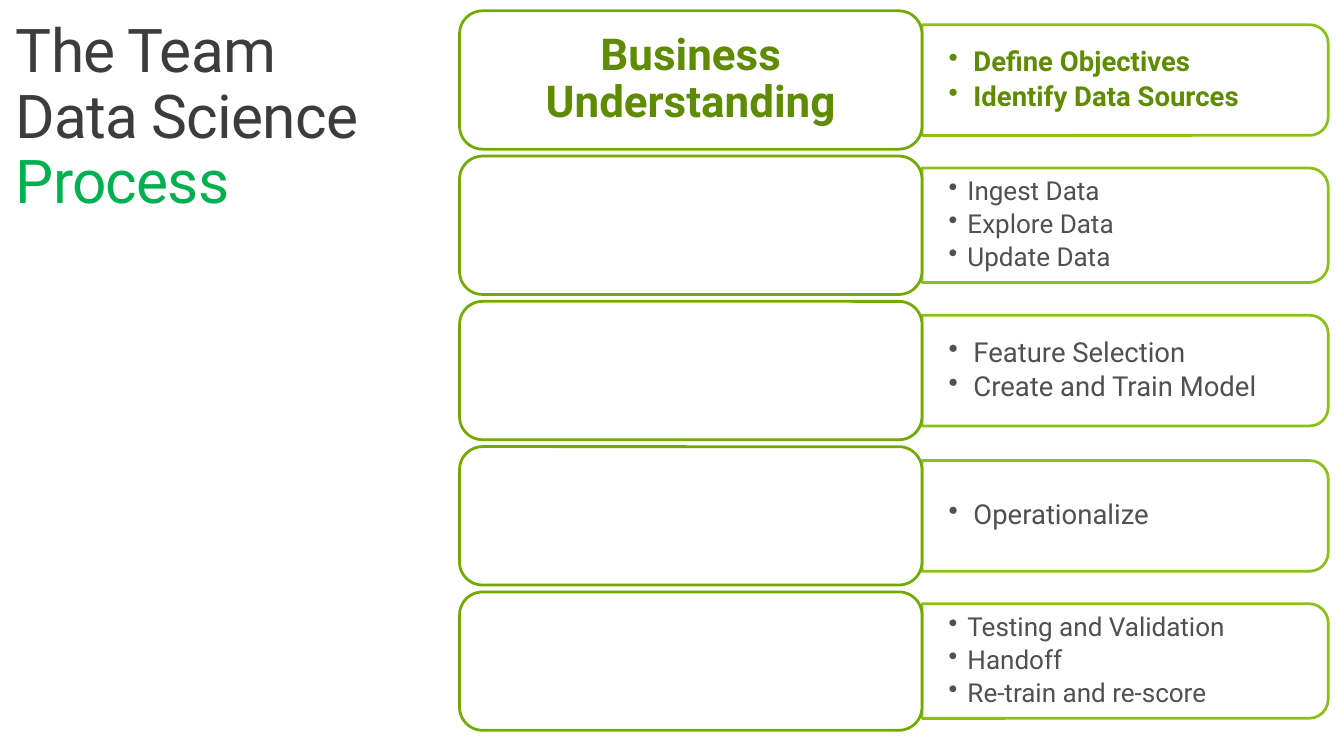
from collections import namedtuple
from dataclasses import dataclass

from lxml.etree import SubElement
from pptx import Presentation
from pptx.dml.color import RGBColor
from pptx.enum.shapes import MSO_SHAPE
from pptx.enum.text import MSO_ANCHOR, PP_ALIGN
from pptx.oxml.ns import qn
from pptx.util import Inches, Pt

Box = namedtuple("Box", "left top width height")
Stage = namedtuple("Stage", "name tasks")


@dataclass(frozen=True)
class Theme:
    font: str = "Roboto"
    white: str = "FFFFFF"
    title: str = "3C3C3C"
    accent: str = "00B050"
    active: str = "5F8B00"
    body: str = "505050"
    stage_line: str = "73A900"
    panel_line: str = "7FBA00"
    title_size: float = 44
    stage_size: float = 32
    task_size: float = 20
    dense_size: float = 19
    line_width: float = 2
    line_spacing: float = 0.9
    task_gap: float = 3.5
    panel_opacity: int = 90


THEME = Theme()
SLIDE_WIDTH, SLIDE_HEIGHT = 13.6, 7.65
TITLE_BOX = Box(0, 0.11, 3.86, 2.26)
STAGES_BOX = Box(4.65, 0.11, 8.79, 7.28)
STAGE_WIDTH, STAGE_HEIGHT = 4.68, 1.4
PANEL_HEIGHT, DENSE_PANEL_HEIGHT = 1.12, 1.16

STAGES = [
    Stage("Business Understanding", ["Define Objectives", "Identify Data Sources"]),
    Stage("", ["Ingest Data", "Explore Data", "Update Data"]),
    Stage("", ["Feature Selection", "Create and Train Model"]),
    Stage("", ["Operationalize"]),
    Stage("", ["Testing and Validation", "Handoff", "Re-train and re-score"]),
]


def inches(box):
    return [Inches(length) for length in box]


def set_font(font, size, color, bold=False):
    font.name = THEME.font
    font.size = Pt(size)
    font.bold = bold
    font.color.rgb = RGBColor.from_string(color)


def set_frame(frame, side, end, anchor):
    frame.word_wrap = True
    frame.vertical_anchor = anchor
    frame.margin_left = frame.margin_right = Inches(side)
    frame.margin_top = frame.margin_bottom = Inches(end)


def set_opacity(fill, percent):
    """Make every solid colour below a shape's properties see-through."""
    for color in fill.iter(qn("a:srgbClr")):
        SubElement(color, qn("a:alpha"), val=str(percent * 1000))


def set_bullet(para, indent):
    properties = para._p.get_or_add_pPr()
    properties.set("marL", str(Inches(indent)))
    properties.set("indent", str(-Inches(indent)))
    SubElement(properties, qn("a:buChar"), char="•")


def add_outline(page, kind, box, line_color):
    shape = page.shapes.add_shape(kind, *inches(box))
    shape.shadow.inherit = False
    shape.fill.solid()
    shape.fill.fore_color.rgb = RGBColor.from_string(THEME.white)
    shape.line.color.rgb = RGBColor.from_string(line_color)
    shape.line.width = Pt(THEME.line_width)
    return shape


def add_title(page, box):
    frame = page.shapes.add_textbox(*inches(box)).text_frame
    set_frame(frame, 0.16, 0.1, MSO_ANCHOR.TOP)
    para = frame.paragraphs[0]
    para.line_spacing = THEME.line_spacing
    for text, color in (("The Team Data Science ", THEME.title),
                        ("Process", THEME.accent)):
        span = para.add_run()
        span.text = text
        set_font(span.font, THEME.title_size, color)
        span._r.get_or_add_rPr().set("spc", "-60")


def add_panel(page, box):
    """Place a panel whose two right corners are round, by a quarter turn."""
    upright = Box(box.left + (box.width - box.height) / 2,
                  box.top + (box.height - box.width) / 2,
                  box.height, box.width)
    panel = add_outline(page, MSO_SHAPE.ROUND_2_SAME_RECTANGLE, upright,
                        THEME.panel_line)
    panel.rotation = 90
    set_opacity(panel._element.spPr, THEME.panel_opacity)


def add_tasks(page, box, tasks, active, dense):
    frame = page.shapes.add_textbox(*inches(box)).text_frame
    set_frame(frame, 0.27, 0.05, MSO_ANCHOR.MIDDLE)
    for index, task in enumerate(tasks):
        para = frame.add_paragraph() if index else frame.paragraphs[0]
        para.text = task
        para.line_spacing = THEME.line_spacing
        para.space_after = Pt(THEME.task_gap)
        set_bullet(para, 0.19 if dense else 0.25)
        set_font(para.font, THEME.dense_size if dense else THEME.task_size,
                 THEME.active if active else THEME.body, active)


def add_stage(page, box, stage):
    active, dense = bool(stage.name), len(stage.tasks) > 2
    height = DENSE_PANEL_HEIGHT if dense else PANEL_HEIGHT
    panel_box = Box(box.left + STAGE_WIDTH, box.top + (box.height - height) / 2,
                    box.width - STAGE_WIDTH, height)
    add_panel(page, panel_box)
    add_tasks(page, panel_box, stage.tasks, active, dense)
    card = add_outline(page, MSO_SHAPE.ROUNDED_RECTANGLE,
                       box._replace(width=STAGE_WIDTH), THEME.stage_line)
    if active:
        set_frame(card.text_frame, 0.13, 0.07, MSO_ANCHOR.MIDDLE)
        para = card.text_frame.paragraphs[0]
        para.text = stage.name
        para.alignment = PP_ALIGN.CENTER
        para.line_spacing = THEME.line_spacing
        set_font(para.font, THEME.stage_size, THEME.active, True)


def add_stages(page, box, stages):
    pitch = (box.height - STAGE_HEIGHT) / (len(stages) - 1)
    for row, stage in enumerate(stages):
        add_stage(page, Box(box.left, box.top + row * pitch, box.width,
                            STAGE_HEIGHT), stage)


def main():
    deck = Presentation()
    deck.slide_width, deck.slide_height = Inches(SLIDE_WIDTH), Inches(SLIDE_HEIGHT)
    page = deck.slides.add_slide(deck.slide_layouts[6])
    add_title(page, TITLE_BOX)
    add_stages(page, STAGES_BOX, STAGES)
    deck.save("out.pptx")


if __name__ == "__main__":
    main()
